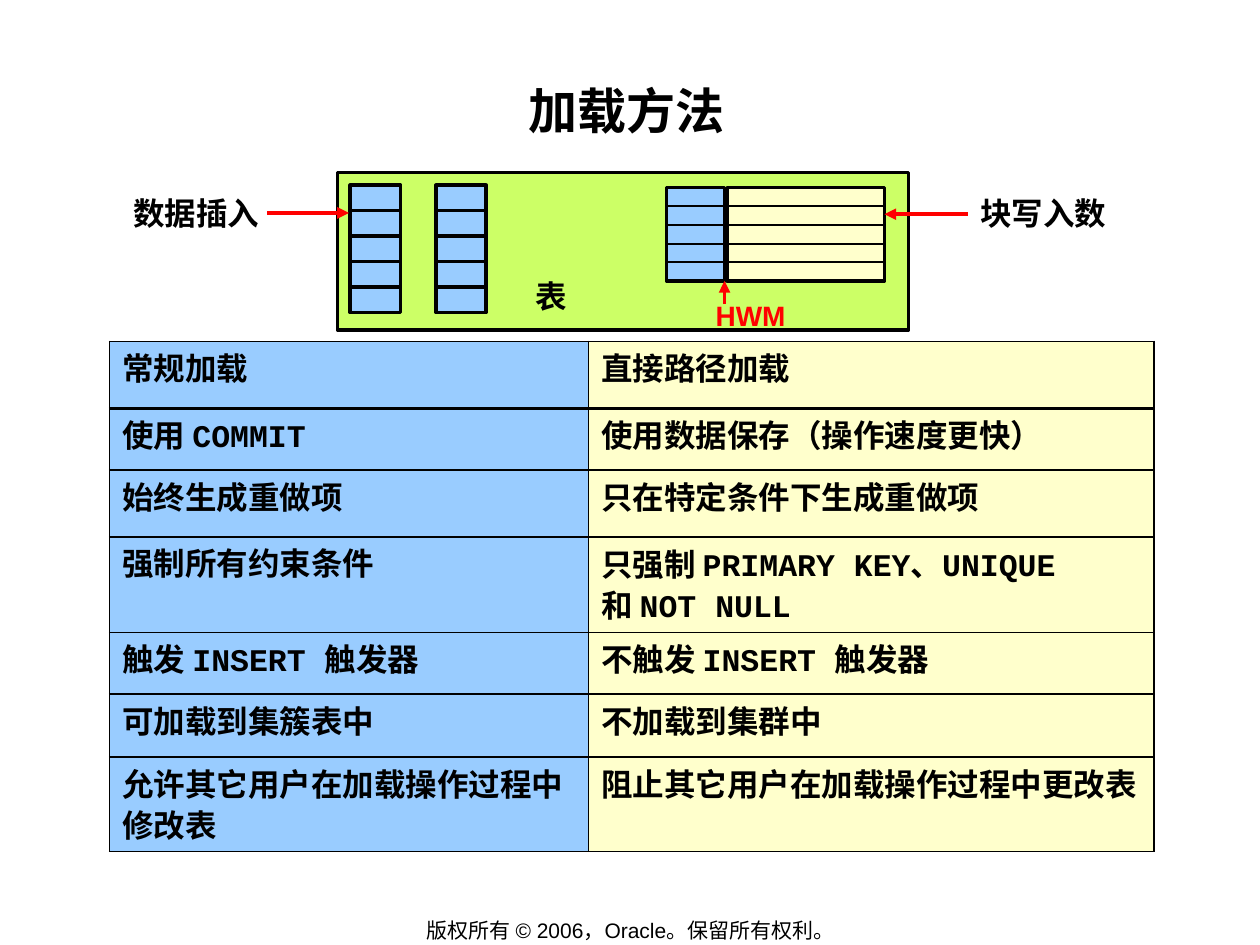
from lxml.etree import SubElement
from pptx import Presentation
from pptx.dml.color import RGBColor
from pptx.enum.shapes import MSO_CONNECTOR, MSO_SHAPE
from pptx.enum.text import MSO_ANCHOR, PP_ALIGN
from pptx.oxml.ns import qn
from pptx.util import Inches, Pt

COLORS = {"ink": "000000", "red": "FF0000", "blue": "99CCFF",
          "cream": "FFFFCC", "green": "CCFF66"}
SANS, CODE, CJK = "Arial", "Courier New", "Noto Sans CJK SC"

# Text between backticks is set in the code font
METHODS = [
    ("常规加载", "直接路径加载"),
    ("使用 `COMMIT`", "使用数据保存（操作速度更快）"),
    ("始终生成重做项", "只在特定条件下生成重做项"),
    ("强制所有约束条件", "只强制 `PRIMARY KEY`、`UNIQUE `\n和 `NOT NULL`"),
    ("触发 `INSERT `触发器", "不触发 `INSERT `触发器"),
    ("可加载到集簇表中", "不加载到集群中"),
    ("允许其它用户在加载操作过程中修改表", "阻止其它用户在加载操作过程中更改表"),
]
COLUMN_WIDTHS = [3.8, 4.49]
ROW_HEIGHTS = [0.53, 0.49, 0.53, 0.76, 0.49, 0.5, 0.75]


def color(name):
    return RGBColor.from_string(COLORS[name])


def add_run(paragraph, text, size, ink="ink", bold=True, font=SANS):
    run = paragraph.add_run()
    run.text = text
    run.font.size, run.font.bold, run.font.name = Pt(size), bold, font
    run.font.color.rgb = color(ink)
    SubElement(run.font._element, qn("a:ea")).set("typeface", CJK)


def add_text(slide, box, text, size, ink="ink", bold=True, align=PP_ALIGN.LEFT,
             inset=(0.1, 0.05), wrap=True, anchor=MSO_ANCHOR.TOP, spacing=None):
    frame = slide.shapes.add_textbox(*map(Inches, box)).text_frame
    frame.word_wrap, frame.vertical_anchor = wrap, anchor
    frame.margin_left = frame.margin_right = Inches(inset[0])
    frame.margin_top = frame.margin_bottom = Inches(inset[1])
    paragraph = frame.paragraphs[0]
    paragraph.alignment, paragraph.line_spacing = align, spacing
    add_run(paragraph, text, size, ink, bold)


def add_box(slide, box, fill):
    shape = slide.shapes.add_shape(MSO_SHAPE.RECTANGLE, *map(Inches, box))
    shape.shadow.inherit = False
    shape.fill.solid()
    shape.fill.fore_color.rgb = color(fill)
    shape.line.color.rgb, shape.line.width = color("ink"), Pt(2)


def add_line(slide, start, end, ink="ink", width=2, arrow=False):
    line = slide.shapes.add_connector(MSO_CONNECTOR.STRAIGHT, *map(Inches, start + end))
    line.line.color.rgb, line.line.width = color(ink), Pt(width)
    if arrow:
        SubElement(line.line._get_or_add_ln(), qn("a:tailEnd")).set("type", "triangle")
    SubElement(line._element.spPr, qn("a:effectLst"))


def add_arrow(slide, start, end):
    add_line(slide, start, end, "red", 2.25, arrow=True)


def add_blocks(slide, box, fill, divider, count=5):
    """Draw a stack of equal blocks filling the box."""
    left, top, width, height = box
    add_box(slide, box, fill)
    for index in range(1, count):
        y = top + index * height / count
        add_line(slide, (left, y), (left + width, y), width=divider)


def add_diagram(slide, box):
    left, top, width, height = box
    right = left + width
    add_box(slide, box, "green")
    add_text(slide, (left + 1.48, top + 0.78, 0.45, 0.39), "表", 18, inset=(0.09, 0.05))

    # Conventional load: two stacks of blocks
    for offset in (0.1, 0.78):
        add_blocks(slide, (left + offset, top + 0.1, 0.4, 1.01), "blue", 2)

    # Direct path load: used blocks up to the mark, free blocks after it
    mark = left + 3.08
    add_blocks(slide, (mark - 0.47, top + 0.12, 0.46, 0.74), "blue", 1)
    add_blocks(slide, (mark + 0.01, top + 0.12, 1.25, 0.74), "cream", 1)
    add_arrow(slide, (mark - 0.01, top + 1.04), (mark - 0.01, top + 0.86))
    add_text(slide, (mark - 0.17, top + 0.95, 1.03, 0.36), "HWM", 16, "red",
             inset=(0.09, 0.05))

    # Labels on both sides
    add_text(slide, (left - 1.72, top + 0.12, 1.31, 0.4), "数据插入", 18)
    add_arrow(slide, (left - 0.56, top + 0.32), (left + 0.09, top + 0.32))
    add_text(slide, (right + 0.47, top + 0.12, 1.3, 0.4), "块写入数", 18)
    add_arrow(slide, (right + 0.47, top + 0.33), (right - 0.19, top + 0.33))


def add_borders(cell, widths):
    properties = cell._tc.get_or_add_tcPr()
    for index, (side, width) in enumerate(widths.items()):
        border = properties.makeelement(qn(f"a:ln{side}"), {"w": str(Pt(width))})
        fill = SubElement(border, qn("a:solidFill"))
        SubElement(fill, qn("a:srgbClr")).set("val", COLORS["ink"])
        properties.insert(index, border)


def fill_cell(cell, text, fill):
    cell.fill.solid()
    cell.fill.fore_color.rgb = color(fill)
    paragraph = cell.text_frame.paragraphs[0]
    paragraph.line_spacing = 0.9
    for number, line in enumerate(text.split("\n")):
        if number:
            paragraph.add_line_break()
        for index, part in enumerate(line.split("`")):
            if part:
                add_run(paragraph, part, 18, font=CODE if index % 2 else SANS)


def add_comparison(slide, box):
    table = slide.shapes.add_table(len(METHODS), 2, *map(Inches, box)).table
    table.first_row = table.horz_banding = False
    for column, width in zip(table.columns, COLUMN_WIDTHS):
        column.width = Inches(width)
    for number, (texts, height) in enumerate(zip(METHODS, ROW_HEIGHTS)):
        table.rows[number].height = Inches(height)
        above, below = 2.2 if number == 1 else 1.08, 2.2 if number == 0 else 1.08
        for cell, text, fill in zip(table.rows[number].cells, texts, ("blue", "cream")):
            fill_cell(cell, text, fill)
            add_borders(cell, {"L": 1.08, "R": 1.08, "T": above, "B": below})


def main():
    prs = Presentation()
    prs.slide_width, prs.slide_height = Inches(10), Inches(7.5)
    slide = prs.slides.add_slide(prs.slide_layouts[6])
    # Footer and title
    add_text(slide, (2.76, 7.28, 4.49, 0.21), "版权所有 © 2006，Oracle。保留所有权利。", 12,
             bold=False, align=PP_ALIGN.CENTER, wrap=False, anchor=MSO_ANCHOR.MIDDLE)
    add_text(slide, (0.97, 0.58, 8, 0.96), "加载方法", 28, align=PP_ALIGN.CENTER,
             inset=(0.01, 0.01), spacing=1.1)
    # Comparison table below the diagram
    add_comparison(slide, (0.87, 2.71, sum(COLUMN_WIDTHS), sum(ROW_HEIGHTS)))
    add_diagram(slide, (2.68, 1.37, 4.53, 1.25))
    prs.save("out.pptx")


if __name__ == "__main__":
    main()
